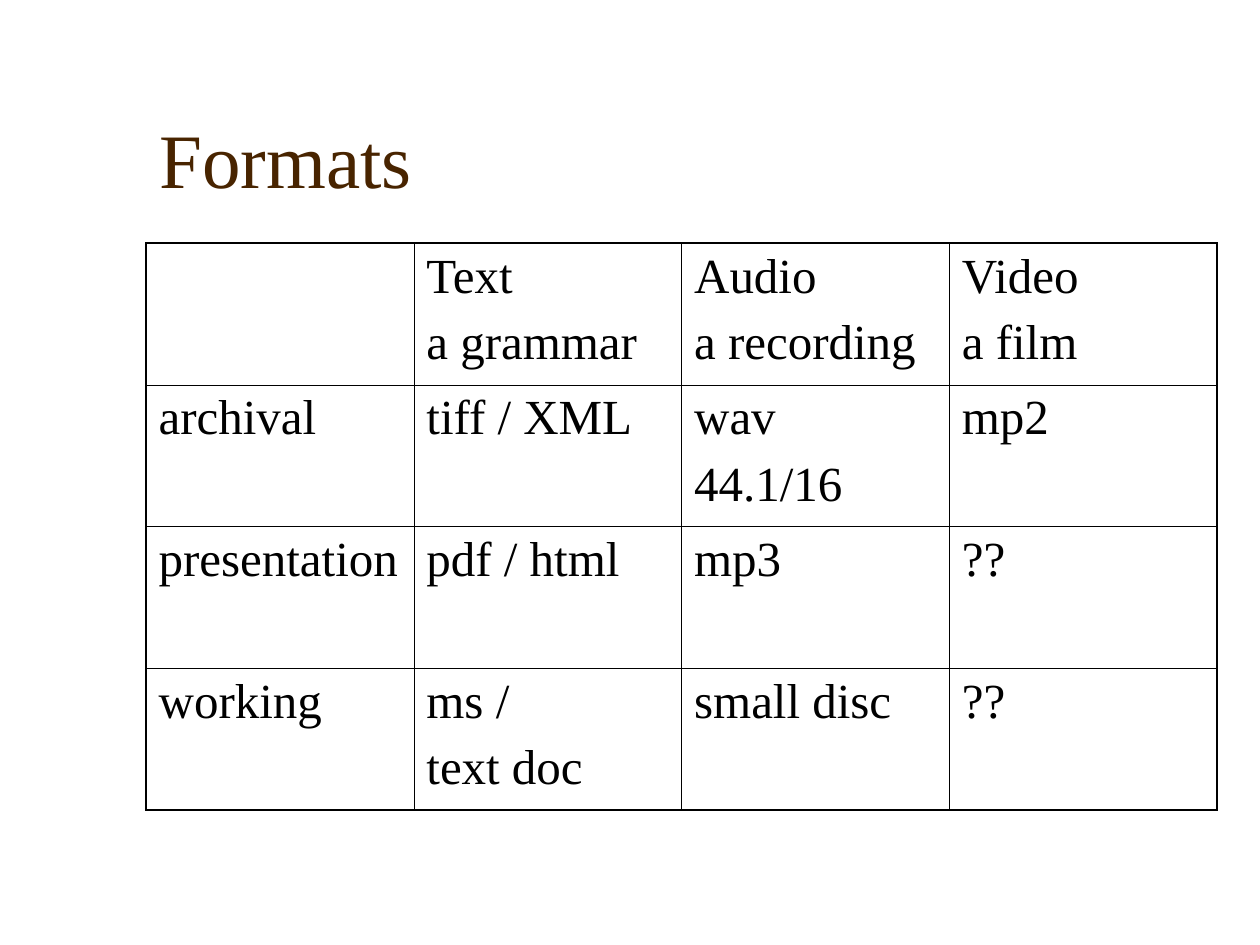
from lxml import etree
from pptx import Presentation
from pptx.dml.color import RGBColor
from pptx.enum.text import MSO_ANCHOR, MSO_AUTO_SIZE, PP_ALIGN
from pptx.oxml.ns import qn
from pptx.util import Pt

BROWN = RGBColor(0x48, 0x24, 0x00)
BLACK = RGBColor(0x00, 0x00, 0x00)
FONT = "Times New Roman"
BOTTOM = MSO_ANCHOR.BOTTOM
LEFT = PP_ALIGN.LEFT
NO_FIT = MSO_AUTO_SIZE.NONE
OUTER, INNER = Pt(1.08), Pt(0.45)
TITLE_ONLY = 5

FORMATS = [
    ["", "Text\na grammar", "Audio\na recording", "Video\na film"],
    ["archival", "tiff / XML", "wav\n44.1/16", "mp2"],
    ["presentation", "pdf / html", "mp3", "??"],
    ["working", "ms /\ntext doc", "small disc", "??"],
]


def style_font(para, size, color):
    """Set the font of a whole paragraph."""
    para.font.name = FONT
    para.font.size = Pt(size)
    para.font.color.rgb = color


def set_borders(cell, widths):
    """Draw the left, right, top and bottom borders of a cell."""
    properties = cell._tc.get_or_add_tcPr()
    for index, (side, width) in enumerate(zip("LRTB", widths)):
        line = etree.Element(qn(f"a:ln{side}"), w=str(width))
        fill = etree.SubElement(line, qn("a:solidFill"))
        etree.SubElement(fill, qn("a:srgbClr"), val=str(BLACK))
        properties.insert(index, line)


def add_title(page, text, left, top, width, height):
    """Place the title at the bottom left of its box."""
    title = page.shapes.title
    title.left, title.top, title.width, title.height = left, top, width, height
    frame = title.text_frame
    frame.text = text
    frame.auto_size = NO_FIT
    frame.vertical_anchor = BOTTOM
    para = frame.paragraphs[0]
    para.alignment = LEFT
    style_font(para, 44, BROWN)


def fill_cell(cell, text):
    """Write one cell, with a gap between its paragraphs."""
    cell.fill.background()
    cell.text = text
    for index, para in enumerate(cell.text_frame.paragraphs):
        if index:
            para.space_before = Pt(7)
        style_font(para, 28, BLACK)


def add_format_table(page, rows, left, top, width, height):
    """Place a ruled table with equal rows and columns in its box."""
    row_count, column_count = len(rows), len(rows[0])
    table = page.shapes.add_table(
        row_count, column_count, left, top, width, height).table
    table.first_row = False
    table.horz_banding = False
    for r, texts in enumerate(rows):
        for c, text in enumerate(texts):
            cell = table.cell(r, c)
            fill_cell(cell, text)
            at_edge = (c == 0, c == column_count - 1,
                       r == 0, r == row_count - 1)
            set_borders(cell, [OUTER if edge else INNER for edge in at_edge])


def main():
    """Build and save the deck."""
    deck = Presentation()
    deck.slide_width, deck.slide_height = Pt(720), Pt(540)
    page = deck.slides.add_slide(deck.slide_layouts[TITLE_ONLY])
    add_title(page, "Formats", Pt(84), Pt(30), Pt(612), Pt(90))
    add_format_table(page, FORMATS, Pt(83.5), Pt(139), Pt(612), Pt(324))
    deck.save("out.pptx")


if __name__ == "__main__":
    main()
